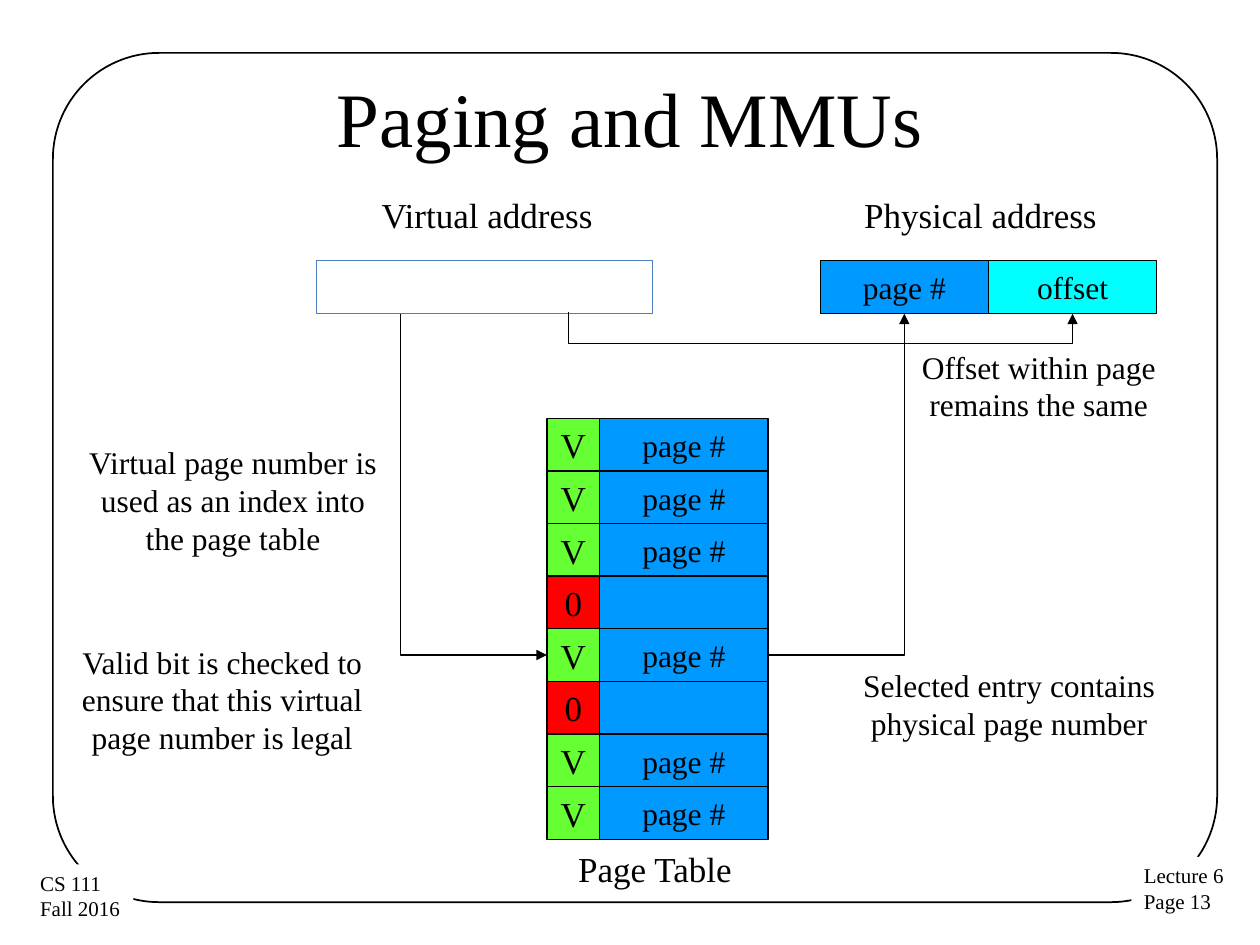
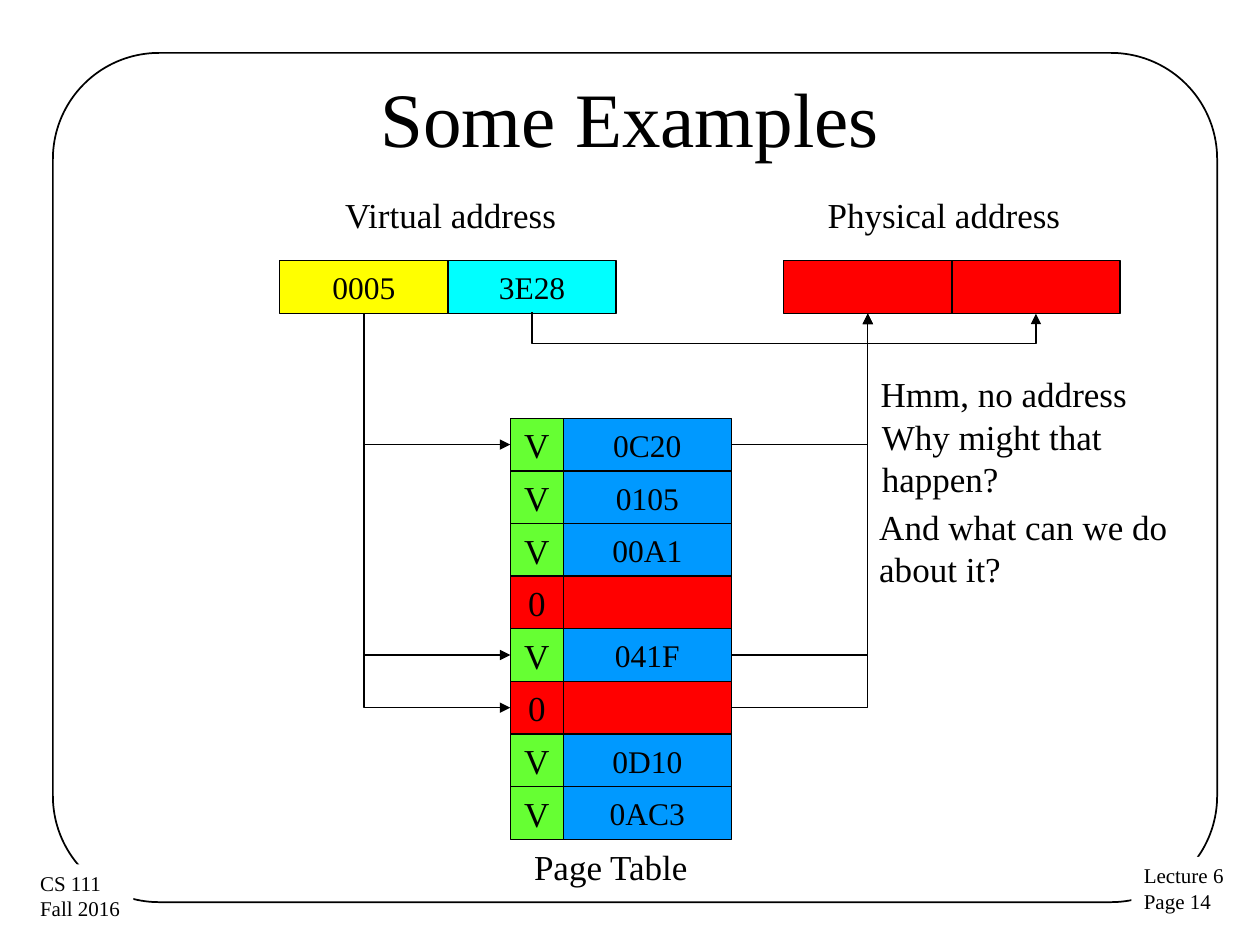
from dataclasses import dataclass

from lxml.etree import SubElement
from pptx import Presentation
from pptx.dml.color import RGBColor
from pptx.enum.shapes import MSO_CONNECTOR, MSO_SHAPE
from pptx.enum.text import MSO_ANCHOR, MSO_AUTO_SIZE, PP_ALIGN
from pptx.oxml.ns import qn
from pptx.slide import Slide
from pptx.text.text import TextFrame
from pptx.util import Inches, Pt

FONT = "Times New Roman"
COLORS = {
    "ink": "000000",
    "paper": "FFFFFF",
    "blue": "0099FF",
    "cyan": "00FFFF",
    "green": "66FF33",
    "red": "FF0000",
    "yellow": "FFFF00",
    "edge": "4B7EBC",
}
HIGH = 0.42
HALF = 1.335
BIT = 0.42
BAR_TOP = 2.07
BAR_END = BAR_TOP + HIGH
ROW_TOP = 3.32
PITCH = 3.34 / 8


@dataclass(frozen=True)
class Cell:
    """A filled box in an address bar."""

    text: str
    fill: str
    edge: str = "ink"
    span: int = 1


@dataclass(frozen=True)
class Note:
    """A text label with its place and style."""

    text: str
    left: float
    top: float
    width: float
    height: float
    size: int = 20
    mid: bool = False
    wrap: bool = False


@dataclass(frozen=True)
class Page:
    """One slide with its address bars, page table and notes."""

    title: str
    number: int
    left: float
    virtual: list[Cell]
    real: list[Cell]
    rows: list[str]
    bad: str
    picks: list[int]
    notes: list[Note]


def color(name: str) -> RGBColor:
    """Look up a named colour."""
    return RGBColor.from_string(COLORS[name])


def style(frame: TextFrame, text: str, size: int, mid: bool = True, wrap: bool = False) -> None:
    """Fill a text frame and format its runs."""
    frame.text = text
    frame.word_wrap = wrap
    for para in frame.paragraphs:
        para.alignment = PP_ALIGN.CENTER if mid else PP_ALIGN.LEFT
        for run in para.runs:
            run.font.name = FONT
            run.font.size = Pt(size)
            run.font.color.rgb = color("ink")


def label(slide: Slide, note: Note) -> TextFrame:
    """Add a text box."""
    box = slide.shapes.add_textbox(*map(Inches, (note.left, note.top, note.width, note.height)))
    style(box.text_frame, note.text, note.size, note.mid, note.wrap)
    box.text_frame.auto_size = MSO_AUTO_SIZE.SHAPE_TO_FIT_TEXT
    return box.text_frame


def block(slide: Slide, left: float, top: float, width: float, cell: Cell, size: int = 18) -> None:
    """Add one outlined cell with centred text."""
    box = slide.shapes.add_shape(
        MSO_SHAPE.RECTANGLE, *map(Inches, (left, top, width, HIGH)))
    box.shadow.inherit = False
    box.fill.solid()
    box.fill.fore_color.rgb = color(cell.fill)
    box.line.color.rgb = color(cell.edge)
    box.line.width = Pt(0.75)
    if cell.text:
        style(box.text_frame, cell.text, size)
        box.text_frame.vertical_anchor = MSO_ANCHOR.MIDDLE


def wire(slide: Slide, start: tuple[float, float], end: tuple[float, float], bend: int = 0) -> None:
    """Add an elbow arrow that leaves downward, or sideways when it rises."""
    (x1, y1), (x2, y2) = start, end
    down = y1 < y2
    ends = (x1, y1, x2, y2)
    if down:
        mx, my = (x1 + x2) / 2, (y1 + y2) / 2
        dx, dy = (x2 - x1) / 2, (y2 - y1) / 2
        ends = (mx + dy, my - dx, mx - dy, my + dx)
    line = slide.shapes.add_connector(MSO_CONNECTOR.ELBOW, *map(Inches, ends))
    if down:
        line.rotation = 270
    line.line.color.rgb = color("ink")
    line.line.width = Pt(0.75)
    props = line._element.spPr
    geom = props.find(qn("a:prstGeom"))
    if bend:
        SubElement(geom.find(qn("a:avLst")), qn("a:gd"), name="adj1", fmla=f"val {bend * 100000}")
    else:
        geom.set("prst", "bentConnector2")
    SubElement(props.find(qn("a:ln")), qn("a:tailEnd"), type="triangle")
    SubElement(props, qn("a:effectLst"))


def base(slide: Slide, page: Page) -> None:
    """Add the frame, footers and title."""
    frame = slide.shapes.add_shape(
        MSO_SHAPE.ROUNDED_RECTANGLE, *map(Inches, (0.42, 0.42, 9.24, 6.74)))
    frame.adjustments[0] = 0.125
    frame.shadow.inherit = False
    frame.fill.background()
    frame.line.color.rgb = color("ink")
    frame.line.width = Pt(1)
    feet = ((f"Lecture 6\nPage {page.number}", 8.98, 6.8), ("CS 111\nFall 2016", 0.22, 6.86))
    for text, left, top in feet:
        foot = slide.shapes.add_shape(
            MSO_SHAPE.RECTANGLE, *map(Inches, (left, top, 0.84, 0.51)))
        foot.shadow.inherit = False
        foot.fill.solid()
        foot.fill.fore_color.rgb = color("paper")
        foot.line.fill.background()
        style(foot.text_frame, text, 12, mid=False)
        foot.text_frame.vertical_anchor = MSO_ANCHOR.TOP
    head = label(slide, Note(page.title, 0.5, 0.3, 9, 1.25, 44, True, True))
    head.auto_size = MSO_AUTO_SIZE.NONE
    head.vertical_anchor = MSO_ANCHOR.MIDDLE


def bar(slide: Slide, left: float, cells: list[Cell]) -> None:
    """Add an address bar, cell by cell."""
    for cell in cells:
        block(slide, left, BAR_TOP, HALF * cell.span, cell)
        left += HALF * cell.span


def table(slide: Slide, left: float, page: Page) -> None:
    """Add the page table, where an empty entry is not valid."""
    for i, text in enumerate(page.rows):
        top = ROW_TOP + PITCH * i
        bit = Cell("V", "green") if text else Cell("0", "red")
        block(slide, left + BIT, top, HALF, Cell(text, "blue" if text else page.bad))
        block(slide, left, top, BIT, bit, 20)


def draw(slide: Slide, page: Page) -> None:
    """Draw one whole slide."""
    base(slide, page)
    left, real, grid = page.left, page.left + 4, page.left + 1.83
    bar(slide, left, page.virtual)
    bar(slide, real, page.real)
    table(slide, grid, page)
    for pick in page.picks:
        mid = ROW_TOP + PITCH * (pick + 0.5)
        wire(slide, (left + HALF / 2, BAR_END), (grid, mid))
        wire(slide, (grid + BIT + HALF, mid), (real + HALF / 2, BAR_END))
    wire(slide, (left + HALF * 1.5, BAR_END - 0.01), (real + HALF * 1.5, BAR_END), 25)
    label(slide, Note("Virtual address", left + 0.42, 1.49, 1.9, 0.44))
    label(slide, Note("Physical address", left + 4.25, 1.49, 2.06, 0.44))
    for note in page.notes:
        label(slide, note)


PAGES = [
    Page(
        "Paging and MMUs", 13, 2.51,
        [Cell("", "paper", "edge", 2)],
        [Cell("page #", "blue"), Cell("offset", "cyan")],
        ["page #"] * 3 + ["", "page #", ""] + ["page #"] * 2,
        "blue", [4],
        [
            Note("Page Table", 4.49, 6.68, 1.44, 0.44),
            Note("Virtual page number is used as an index into the page table",
                 0.6, 3.47, 2.5, 1.01, 18, True, True),
            Note("Selected entry contains physical page number",
                 6.68, 5.24, 2.66, 0.71, 18, True, True),
            Note("Offset within page remains the same",
                 6.91, 2.71, 2.67, 0.71, 18, True, True),
            Note("Valid bit is checked to ensure that this virtual page number is legal",
                 0.43, 5.05, 2.67, 1.01, 18, True, True),
        ],
    ),
    Page(
        "Some Examples", 14, 2.22,
        [Cell("0005", "yellow"), Cell("3E28", "cyan")],
        [Cell("", "red"), Cell("", "red")],
        ["0C20", "0105", "00A1", "", "041F", "", "0D10", "0AC3"],
        "red", [4, 0, 5],
        [
            Note("Page Table", 4.14, 6.66, 1.44, 0.44),
            Note("Hmm, no address", 6.89, 2.91, 2.17, 0.44),
            Note("Why might that happen?", 6.9, 3.25, 2.6, 0.77, wrap=True),
            Note("And what can we do about it?", 6.88, 3.96, 2.6, 0.77, wrap=True),
        ],
    ),
]


def main() -> None:
    """Build and save the deck."""
    deck = Presentation()
    deck.slide_width, deck.slide_height = Inches(10), Inches(7.5)
    for page in PAGES:
        draw(deck.slides.add_slide(deck.slide_layouts[6]), page)
    deck.save("out.pptx")


main()
